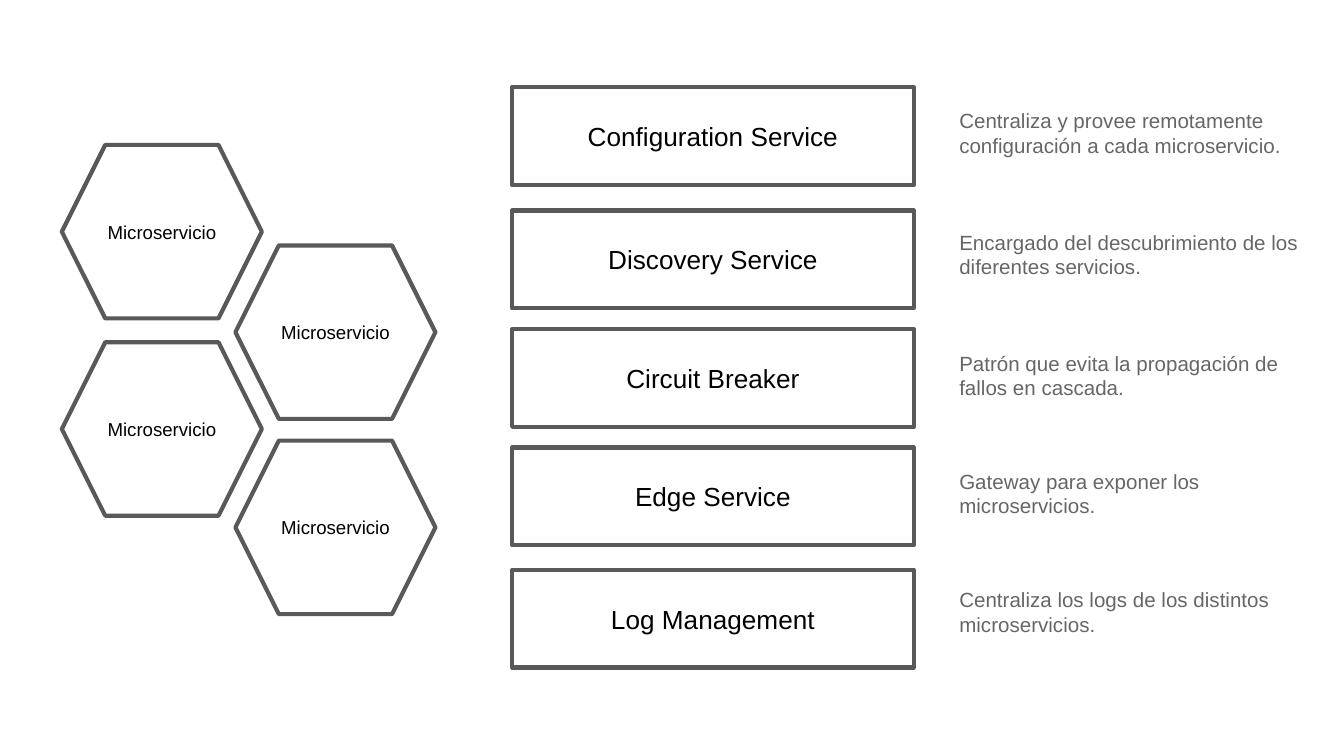
from dataclasses import dataclass

from pptx import Presentation
from pptx.dml.color import RGBColor
from pptx.enum.shapes import MSO_SHAPE
from pptx.enum.text import MSO_ANCHOR, MSO_AUTO_SIZE, PP_ALIGN
from pptx.util import Cm, Pt


@dataclass(frozen=True)
class Theme:
    """Colours, font and sizes of the slide."""
    font: str = "Arial"
    paper: RGBColor = RGBColor(0xFF, 0xFF, 0xFF)
    outline: RGBColor = RGBColor(0x59, 0x59, 0x59)
    ink: RGBColor = RGBColor(0x00, 0x00, 0x00)
    muted: RGBColor = RGBColor(0x66, 0x66, 0x66)
    service_size: float = 14
    hexagon_size: float = 10
    note_size: float = 11
    line_width: float = 2.25
    inset: float = 0.25


THEME = Theme()

SERVICES = [
    ("Configuration Service", 1.65, 1.8,
     "Centraliza y provee remotamente configuración a cada microservicio."),
    ("Discovery Service", 3.98, 4.09,
     "Encargado del descubrimiento de los diferentes servicios."),
    ("Circuit Breaker", 6.22, 6.38,
     "Patrón que evita la propagación de fallos en cascada."),
    ("Edge Service", 8.46, 8.61,
     "Gateway para exponer los microservicios."),
    ("Log Management", 10.77, 10.85,
     "Centraliza los logs de los distintos microservicios."),
]


def write(sp, text, *, size, color, align=PP_ALIGN.LEFT, anchor=MSO_ANCHOR.TOP):
    """Fill a shape with one formatted paragraph."""
    tf = sp.text_frame
    tf.word_wrap = True
    tf.vertical_anchor = anchor
    tf.margin_left = tf.margin_right = Cm(THEME.inset)
    tf.margin_top = tf.margin_bottom = Cm(THEME.inset)
    p = tf.paragraphs[0]
    p.alignment = align
    r = p.add_run()
    r.text = text
    r.font.name = THEME.font
    r.font.size = Pt(size)
    r.font.color.rgb = color


def add_outlined(s, kind, box, text, size):
    """Add an outlined shape with a centred label."""
    sp = s.shapes.add_shape(kind, *(Cm(v) for v in box))
    sp.shadow.inherit = False
    sp.fill.solid()
    sp.fill.fore_color.rgb = THEME.paper
    sp.line.color.rgb = THEME.outline
    sp.line.width = Pt(THEME.line_width)
    write(sp, text, size=size, color=THEME.ink,
          align=PP_ALIGN.CENTER, anchor=MSO_ANCHOR.MIDDLE)


def add_note(s, box, text):
    """Add a grey description."""
    sp = s.shapes.add_textbox(*(Cm(v) for v in box))
    write(sp, text, size=THEME.note_size, color=THEME.muted)
    sp.text_frame.auto_size = MSO_AUTO_SIZE.SHAPE_TO_FIT_TEXT


def add_honeycomb(s, left, top, width, height):
    """Place four hexagons in two staggered columns within the box."""
    hex_w, hex_h = 3.78, 3.28
    for i, offset in enumerate((0, 1.9, 3.73, height - hex_h)):
        x = left + (i % 2) * (width - hex_w)
        add_outlined(s, MSO_SHAPE.HEXAGON, (x, top + offset, hex_w, hex_h),
                     "Microservicio", THEME.hexagon_size)


def add_services(s, left, top, width, height):
    """Stack the service boxes down the box."""
    first = SERVICES[0][1]
    box_h = height - (SERVICES[-1][1] - first)
    for name, y, _, _ in SERVICES:
        add_outlined(s, MSO_SHAPE.RECTANGLE,
                     (left, top + y - first, width, box_h),
                     name, THEME.service_size)


def add_notes(s, left, top, width, height):
    """Stack the service descriptions down the box."""
    first = SERVICES[0][2]
    note_h = height - (SERVICES[-1][2] - first)
    for _, _, y, note in SERVICES:
        add_note(s, (left, top + y - first, width, note_h), note)


def main():
    """Build and save the slide."""
    prs = Presentation()
    prs.slide_width, prs.slide_height = Cm(25.4), Cm(14.29)
    s = prs.slides.add_slide(prs.slide_layouts[6])
    s.background.fill.solid()
    s.background.fill.fore_color.rgb = THEME.paper
    add_services(s, 9.68, 1.65, 7.59, 10.97)
    add_honeycomb(s, 1.17, 2.74, 7.06, 8.87)
    add_notes(s, 17.88, 1.8, 7.32, 10.5)
    prs.save("out.pptx")


if __name__ == "__main__":
    main()
